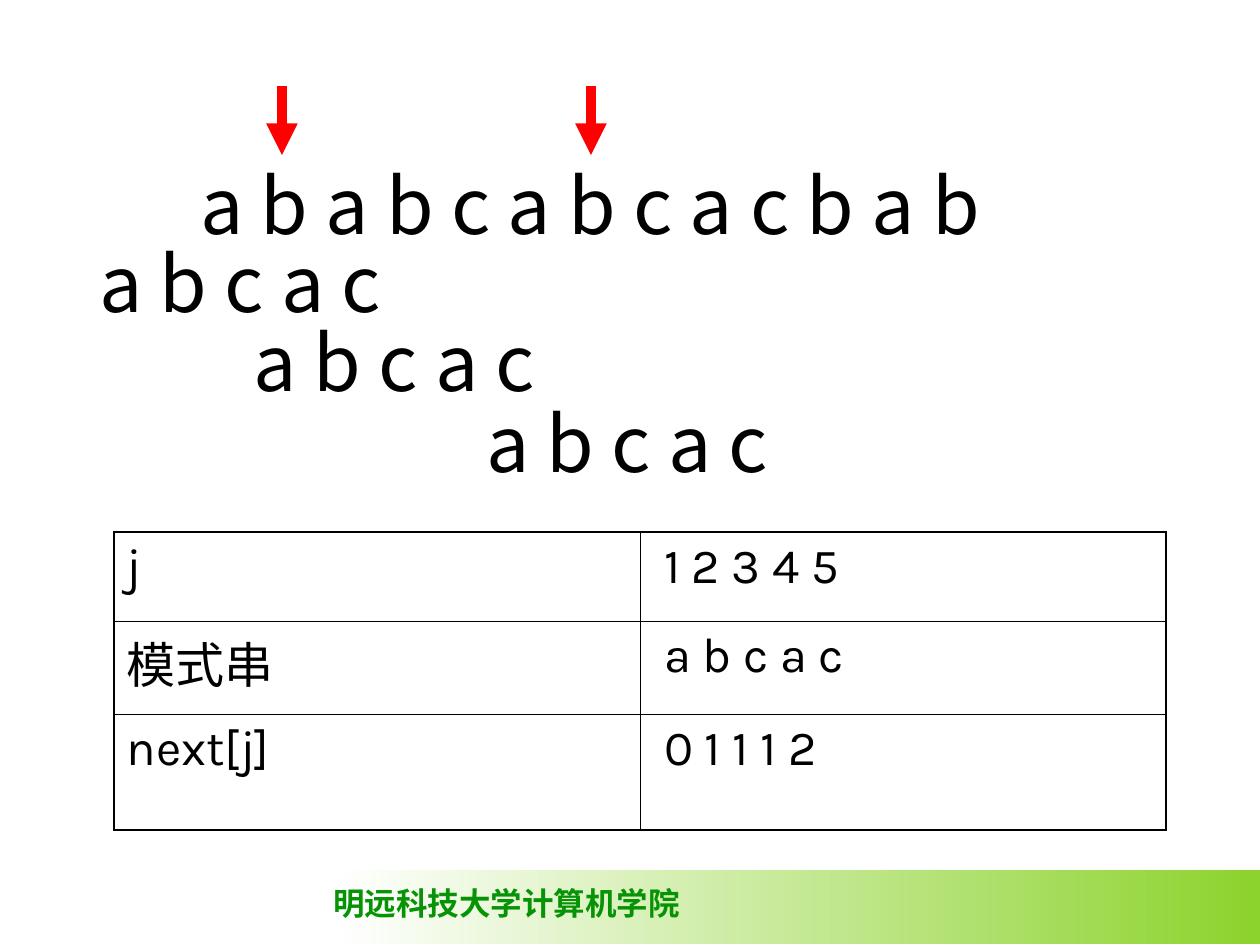
from lxml.etree import SubElement
from pptx import Presentation
from pptx.dml.color import RGBColor
from pptx.enum.shapes import MSO_CONNECTOR, MSO_SHAPE
from pptx.oxml.ns import qn
from pptx.util import Emu, Pt

COLORS = {"text": "000000", "arrow": "FF0000", "school": "069406",
          "white": "FFFFFF", "green": "8CD32D"}
SANS = "Noto Sans CJK SC"
PX_PER_INCH = 126
PATTERN = "a b c a c"


def px(length):
    """Turn a length in px into EMU."""
    return Emu(round(length * 914400 / PX_PER_INCH))


def color(name):
    """Look up a named colour."""
    return RGBColor.from_string(COLORS[name])


def write(frame, text, *, size, font, ink="text", bold=False, leading=None):
    """Write one formatted paragraph into a text frame."""
    frame.word_wrap = True
    para = frame.paragraphs[0]
    if leading:
        para.line_spacing = Pt(leading)
    span = para.add_run()
    span.text = text
    span.font.size = Pt(size)
    span.font.name = font
    span.font.bold = bold
    span.font.color.rgb = color(ink)
    SubElement(span.font._element, qn("a:ea"), typeface=SANS)


def add_text(page, left, top, width, height, text, **style):
    """Place a text box."""
    box = page.shapes.add_textbox(px(left), px(top), px(width), px(height))
    write(box.text_frame, text, **style)


def add_footer(page, left, top, width, height):
    """Place the gradient band and the school name."""
    band = page.shapes.add_shape(MSO_SHAPE.RECTANGLE, px(left + 15), px(top),
                                 px(width - 15), px(height))
    band.shadow.inherit = False
    band.line.fill.background()
    band.fill.gradient()
    band.fill.gradient_angle = 0
    for stop, name in zip(band.fill.gradient_stops, ("white", "green")):
        stop.color.rgb = color(name)
    add_text(page, left, top + 8, 374, 50, "明远科技大学计算机学院",
             size=18, font="Times New Roman", ink="school", bold=True)


def add_arrow(page, left, top, length):
    """Place a red arrow that points down."""
    arrow = page.shapes.add_connector(MSO_CONNECTOR.STRAIGHT, px(left), px(top),
                                      px(left), px(top + length))
    arrow.line.width = Pt(6)
    arrow.line.color.rgb = color("arrow")
    SubElement(arrow.line._get_or_add_ln(), qn("a:tailEnd"), type="triangle")
    SubElement(arrow._element.spPr, qn("a:effectLst"))


def add_matching(page, left, top):
    """Place the main string, the shifted patterns and the position arrows."""
    style = {"size": 44, "font": SANS, "leading": 56.5}
    add_text(page, left + 101, top + 59, 829, 106, "a b a b c a b c a c b a b", **style)
    for shift, drop in ((0, 137), (154, 216), (387, 297)):
        add_text(page, left + shift, top + drop, 312, 106, PATTERN, **style)
    for shift in (195, 504):
        add_arrow(page, left + shift, top, 69)


def add_border(cell, side, points):
    """Draw one side of a table cell."""
    edge = SubElement(cell._tc.get_or_add_tcPr(), qn(f"a:ln{side}"),
                      w=str(Pt(points)))
    fill = SubElement(edge, qn("a:solidFill"))
    SubElement(fill, qn("a:srgbClr"), val=COLORS["text"])


def add_next_table(page, left, top, width, heights):
    """Place the table of next values with a heavier outer frame."""
    rows = (("j", " 1 2 3 4 5"), ("模式串", f" {PATTERN}"), ("next[j]", " 0 1 1 1 2"))
    table = page.shapes.add_table(len(rows), 2, px(left), px(top),
                                  px(width), px(sum(heights))).table
    table.first_row = table.horz_banding = False
    for column in table.columns:
        column.width = px(width // 2)
    for row_index, (texts, height) in enumerate(zip(rows, heights)):
        table.rows[row_index].height = px(height)
        for column_index, text in enumerate(texts):
            cell = table.cell(row_index, column_index)
            outer = {"L": column_index == 0, "R": column_index == 1,
                     "T": row_index == 0, "B": row_index == len(rows) - 1}
            for side, is_outer in outer.items():
                add_border(cell, side, 1.08 if is_outer else 0.45)
            cell.fill.background()
            write(cell.text_frame, text, size=28, font="Karla")


def main():
    """Build the slide and save the deck."""
    deck = Presentation()
    deck.slide_width, deck.slide_height = px(1260), px(945)
    page = deck.slides.add_slide(deck.slide_layouts[6])
    add_footer(page, 321, 870, 939, 74)
    add_next_table(page, 114, 532, 1052, (89, 93, 116))
    add_matching(page, 87, 86)
    deck.save("out.pptx")


if __name__ == "__main__":
    main()
